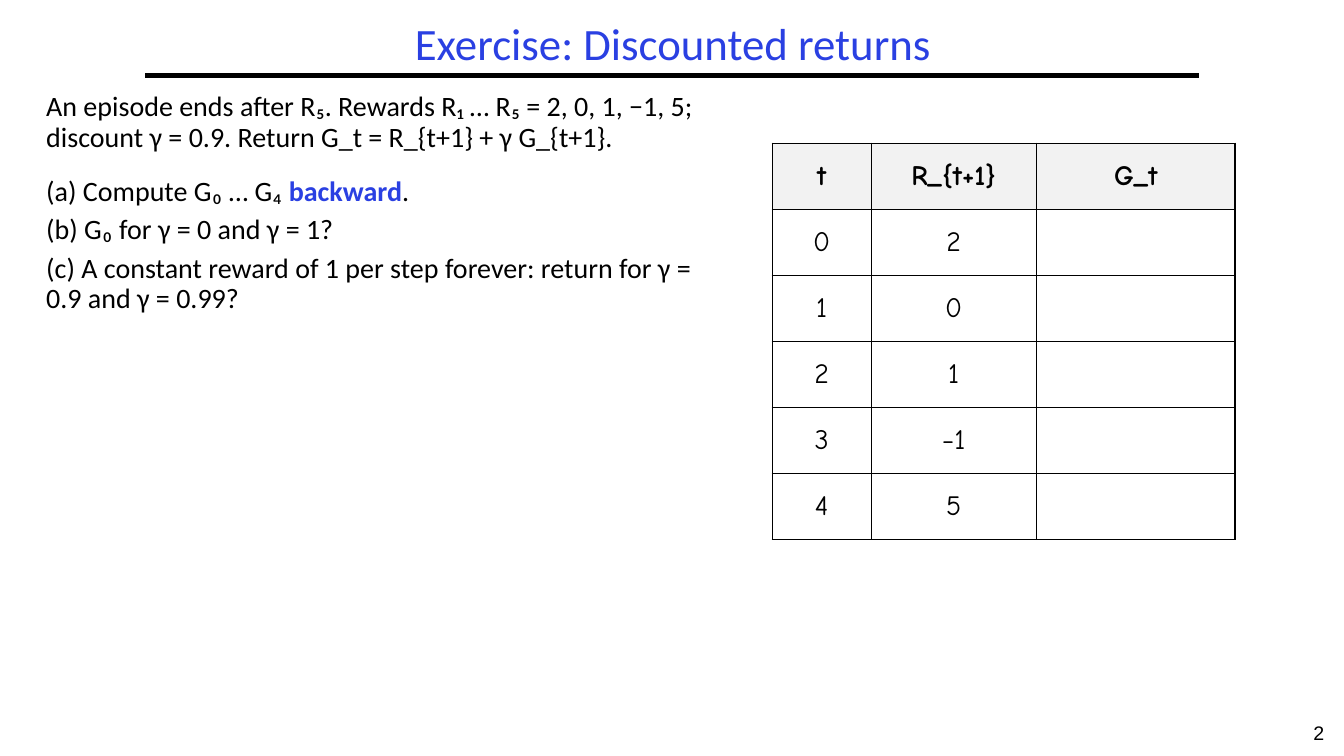
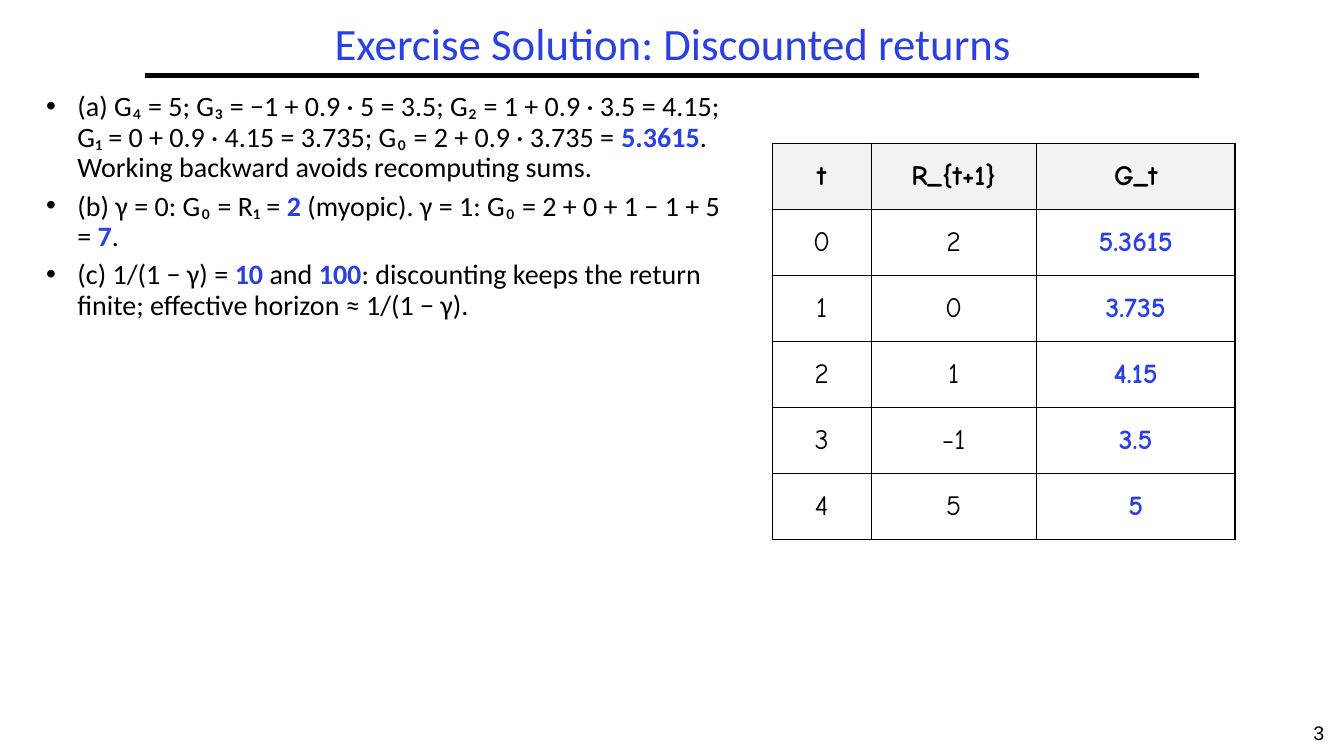
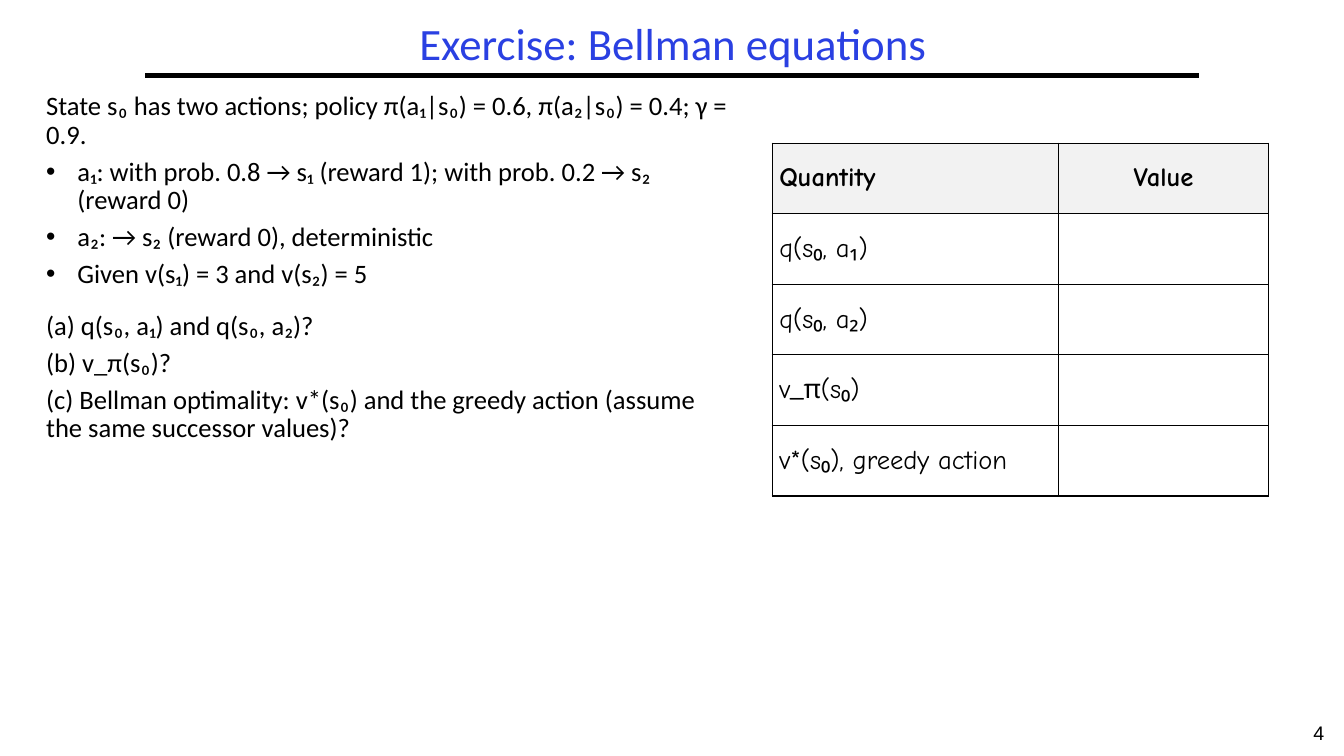
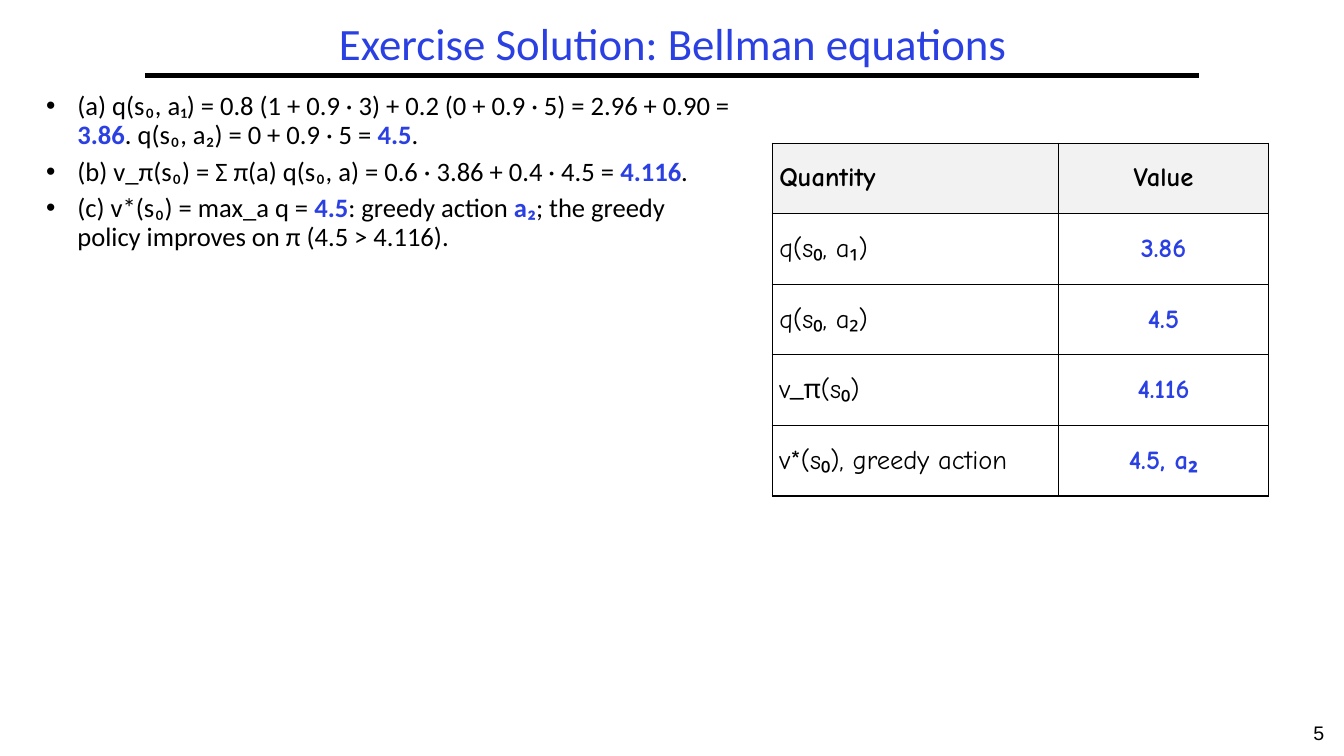
from pptx import Presentation
from pptx.dml.color import RGBColor
from pptx.enum.shapes import MSO_CONNECTOR
from pptx.enum.text import MSO_ANCHOR, PP_ALIGN
from pptx.oxml.ns import qn
from pptx.util import Inches, Pt
from lxml.etree import SubElement

# Shared style
BLACK, BLUE, HEADER_GREY = "000000", "2A40E2", "F2F2F2"
BODY_FONT, TABLE_FONT, NUMBER_FONT = "Calibri", "Comic Neue", "Arial"
LINE_SPACING = 0.9
SPACE_BEFORE = 0.3  # share of the text size
SECTION_GAP = 17  # points
BULLET_INDENT = Inches(0.31)
CENTER, LEFT = PP_ALIGN.CENTER, PP_ALIGN.LEFT

# Kinds of body paragraph
PLAIN, BULLET, SECTION = "plain", "bullet", "section"


def color(hex_string):
    return RGBColor.from_string(hex_string)


def format_run(run, font, size, hex_color=BLACK, bold=False):
    run.font.name = font
    run.font.size = Pt(size)
    run.font.bold = bold
    run.font.color.rgb = color(hex_color)


def add_text_box(slide, left, top, width, height, anchor=MSO_ANCHOR.TOP):
    box = slide.shapes.add_textbox(Inches(left), Inches(top), Inches(width), Inches(height))
    text_frame = box.text_frame
    text_frame.word_wrap = True
    text_frame.vertical_anchor = anchor
    return text_frame


def add_centered_line(text_frame, text, font, size, hex_color):
    paragraph = text_frame.paragraphs[0]
    paragraph.text = text
    paragraph.alignment = CENTER
    format_run(paragraph.runs[0], font, size, hex_color)
    return paragraph


def add_frame(slide, title, number):
    """Title, rule below it and slide number."""
    rule = slide.shapes.add_connector(
        MSO_CONNECTOR.STRAIGHT, Inches(1.44), Inches(0.75), Inches(11.89), Inches(0.75))
    rule.line.color.rgb = color(BLACK)
    rule.line.width = Pt(3)
    SubElement(rule._element.spPr, qn("a:effectLst"))

    number_frame = add_text_box(slide, 12.83, 7.1, 0.5, 0.4)
    add_centered_line(number_frame, str(number), NUMBER_FONT, 14, BLACK)

    title_frame = add_text_box(slide, 1.44, 0.17, 10.47, 0.58, MSO_ANCHOR.MIDDLE)
    paragraph = add_centered_line(title_frame, title, BODY_FONT, 32, BLUE)
    paragraph.line_spacing = LINE_SPACING


def add_bullet(paragraph):
    properties = paragraph._p.get_or_add_pPr()
    properties.set("marL", str(BULLET_INDENT))
    properties.set("indent", str(-BULLET_INDENT))
    SubElement(properties, qn("a:buFont"), typeface="Arial")
    SubElement(properties, qn("a:buChar"), char="•")


def add_body(slide, items, size):
    """Write (kind, text) items; text between ** marks is highlighted."""
    text_frame = add_text_box(slide, 0.36, 0.87, 7, 6.01)
    for index, (kind, text) in enumerate(items):
        paragraph = text_frame.add_paragraph() if index else text_frame.paragraphs[0]
        if kind == BULLET:
            add_bullet(paragraph)
        paragraph.line_spacing = LINE_SPACING
        if index:
            gap = SECTION_GAP if kind == SECTION else size * SPACE_BEFORE
            paragraph.space_before = Pt(gap)
        for part, piece in enumerate(text.split("**")):
            highlighted = part % 2 == 1
            run = paragraph.add_run()
            run.text = piece
            format_run(run, BODY_FONT, size, BLUE if highlighted else BLACK, highlighted)


def add_cell_borders(cell):
    properties = cell._tc.get_or_add_tcPr()
    for side in ("lnL", "lnR", "lnT", "lnB"):
        border = SubElement(properties, qn(f"a:{side}"), w=str(Pt(1)))
        fill = SubElement(border, qn("a:solidFill"))
        SubElement(fill, qn("a:srgbClr"), val=BLACK)


def format_cell(cell, text, size, alignment, is_header, is_answer):
    add_cell_borders(cell)
    if is_header:
        cell.fill.solid()
        cell.fill.fore_color.rgb = color(HEADER_GREY)
    else:
        cell.fill.background()
    cell.vertical_anchor = MSO_ANCHOR.MIDDLE
    cell.margin_left = cell.margin_right = Inches(0.07)
    cell.margin_top = cell.margin_bottom = Inches(0.03)
    if text:
        paragraph = cell.text_frame.paragraphs[0]
        paragraph.text = text
        paragraph.alignment = alignment
        format_run(paragraph.runs[0], TABLE_FONT, size,
                   BLUE if is_answer else BLACK, is_header or is_answer)


def add_answer_table(slide, layout, answers=None):
    """Table whose last column holds the answers, or stays empty."""
    header, givens, widths = layout["header"], layout["givens"], layout["widths"]
    answers = answers or [""] * len(givens)
    rows = [header] + [(*given, answer) for given, answer in zip(givens, answers)]
    row_height = layout["row_height"]
    table = slide.shapes.add_table(
        len(rows), len(widths), Inches(7.66), Inches(1.42),
        Inches(sum(widths)), Inches(row_height * len(rows))).table
    table.first_row = table.horz_banding = False
    for column, width in zip(table.columns, widths):
        column.width = Inches(width)
    for row_index, row in enumerate(rows):
        table.rows[row_index].height = Inches(row_height)
        for column_index, text in enumerate(row):
            is_header = row_index == 0
            is_answer = not is_header and column_index == len(widths) - 1
            format_cell(table.cell(row_index, column_index), text, layout["size"],
                        layout["alignments"][column_index], is_header, is_answer)


# Tables, each used by an exercise and its solution
RETURNS = {
    "header": ("t", "R_{t+1}", "G_t"),
    "givens": [("0", "2"), ("1", "0"), ("2", "1"), ("3", "−1"), ("4", "5")],
    "widths": (0.98, 1.64, 1.97),
    "alignments": (CENTER, CENTER, CENTER),
    "row_height": 0.656,
    "size": 20,
}
BELLMAN = {
    "header": ("Quantity", "Value"),
    "givens": [("q(s₀, a₁)",), ("q(s₀, a₂)",), ("v_π(s₀)",), ("v*(s₀), greedy action",)],
    "widths": (2.84, 2.08),
    "alignments": (LEFT, CENTER),
    "row_height": 0.7,
    "size": 19,
}

# Slides: title, body, table, answers
SLIDES = [
    ("Exercise: Discounted returns", [
        (PLAIN, "An episode ends after R₅. Rewards R₁ … R₅ = 2, 0, 1, −1, 5; "
                "discount γ = 0.9. Return G_t = R_{t+1} + γ G_{t+1}."),
        (SECTION, "(a) Compute G₀ … G₄ **backward**."),
        (PLAIN, "(b) G₀ for γ = 0 and γ = 1?"),
        (PLAIN, "(c) A constant reward of 1 per step forever: return for "
                "γ = 0.9 and γ = 0.99?"),
    ], RETURNS, None),
    ("Exercise Solution: Discounted returns", [
        (BULLET, "(a) G₄ = 5; G₃ = −1 + 0.9 · 5 = 3.5; G₂ = 1 + 0.9 · 3.5 = 4.15; "
                 "G₁ = 0 + 0.9 · 4.15 = 3.735; G₀ = 2 + 0.9 · 3.735 = **5.3615**. "
                 "Working backward avoids recomputing sums."),
        (BULLET, "(b) γ = 0: G₀ = R₁ = **2** (myopic). "
                 "γ = 1: G₀ = 2 + 0 + 1 − 1 + 5 = **7**."),
        (BULLET, "(c) 1/(1 − γ) = **10** and **100**: discounting keeps the return "
                 "finite; effective horizon ≈ 1/(1 − γ)."),
    ], RETURNS, ["5.3615", "3.735", "4.15", "3.5", "5"]),
    ("Exercise: Bellman equations", [
        (PLAIN, "State s₀ has two actions; policy π(a₁|s₀) = 0.6, π(a₂|s₀) = 0.4; γ = 0.9."),
        (BULLET, "a₁: with prob. 0.8 → s₁ (reward 1); with prob. 0.2 → s₂ (reward 0)"),
        (BULLET, "a₂: → s₂ (reward 0), deterministic"),
        (BULLET, "Given v(s₁) = 3 and v(s₂) = 5"),
        (SECTION, "(a) q(s₀, a₁) and q(s₀, a₂)?"),
        (PLAIN, "(b) v_π(s₀)?"),
        (PLAIN, "(c) Bellman optimality: v*(s₀) and the greedy action "
                "(assume the same successor values)?"),
    ], BELLMAN, None),
    ("Exercise Solution: Bellman equations", [
        (BULLET, "(a) q(s₀, a₁) = 0.8 (1 + 0.9 · 3) + 0.2 (0 + 0.9 · 5) = 2.96 + 0.90 = "
                 "**3.86**. q(s₀, a₂) = 0 + 0.9 · 5 = **4.5**."),
        (BULLET, "(b) v_π(s₀) = Σ π(a) q(s₀, a) = 0.6 · 3.86 + 0.4 · 4.5 = **4.116**."),
        (BULLET, "(c) v*(s₀) = max_a q = **4.5**: greedy action **a₂**; "
                 "the greedy policy improves on π (4.5 > 4.116)."),
    ], BELLMAN, ["3.86", "4.5", "4.116", "4.5, a₂"]),
]


def main():
    presentation = Presentation()
    presentation.slide_width = Inches(13.33)
    presentation.slide_height = Inches(7.5)
    blank = presentation.slide_layouts[6]
    for number, (title, body, layout, answers) in enumerate(SLIDES, start=2):
        slide = presentation.slides.add_slide(blank)
        add_frame(slide, title, number)
        add_body(slide, body, layout["size"])
        add_answer_table(slide, layout, answers)
    presentation.save("out.pptx")


if __name__ == "__main__":
    main()
